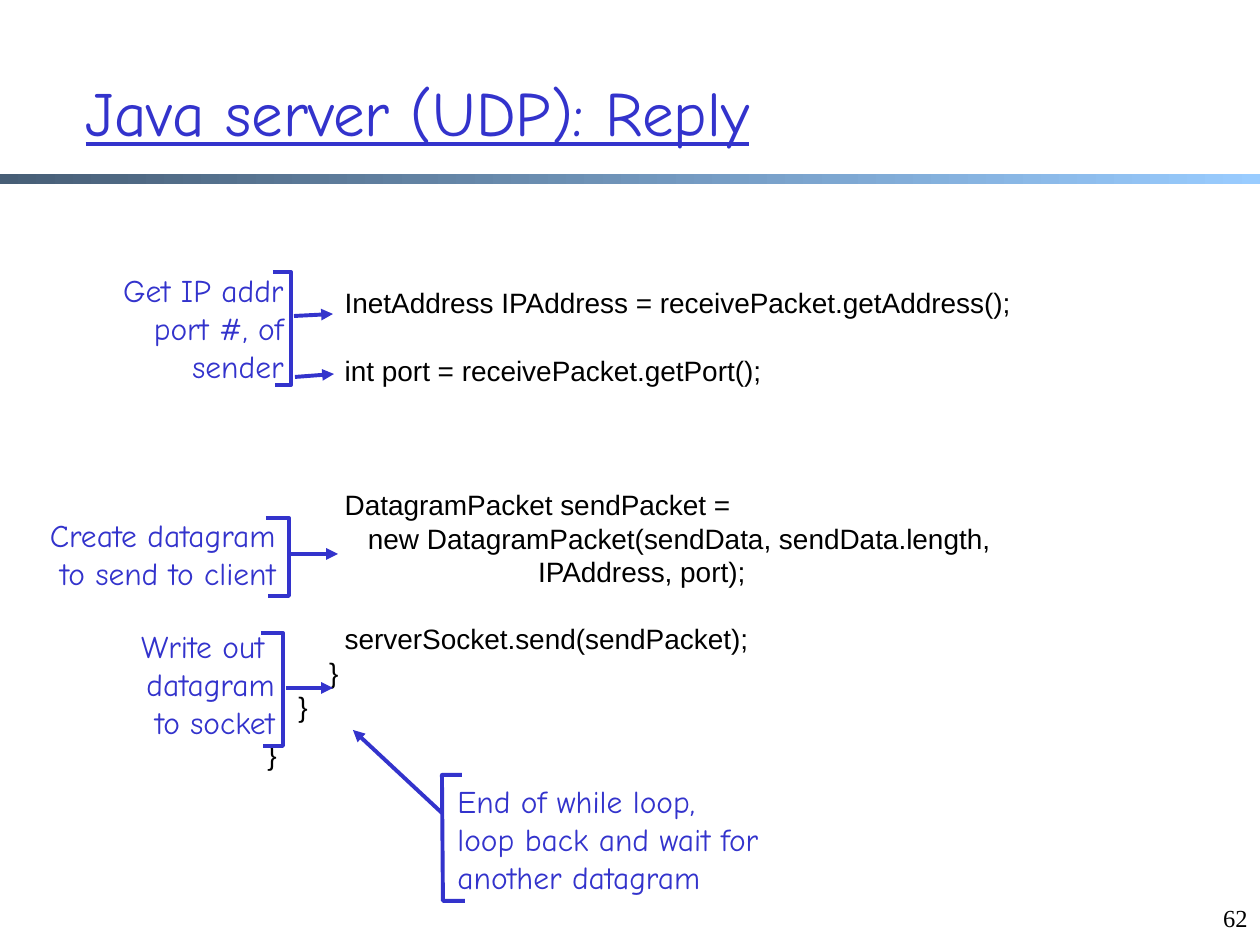
import pptx
import pptx.dml.color
import pptx.enum.shapes
import pptx.enum.text
import pptx.oxml.ns
import pptx.oxml.xmlchemy
import pptx.util

SCALE = 914400 // 126
BLUE, BLACK = "3333CC", "000000"
ALIGN = pptx.enum.text.PP_ALIGN
ANCHOR = pptx.enum.text.MSO_ANCHOR

CODE = [
    (0, "          InetAddress IPAddress = receivePacket.getAddress();"),
    (19.2, "          int port = receivePacket.getPort();"),
    (57.6, "          DatagramPacket sendPacket ="),
    (0, "             new DatagramPacket(sendData, sendData.length,"),
    (0, "                                   IPAddress, port);"),
    (19.2, "          serverSocket.send(sendPacket);"),
    (0, "        }"),
    (0, "    }"),
    (8.8, "}"),
]
LABELS = [
    ((8, 265, 288, 126), ["Get IP addr", "port #, of", "sender"], ALIGN.RIGHT),
    ((106, 621, 181, 126), ["Write out ", "datagram", "to socket"], ALIGN.RIGHT),
    ((445, 776, 350, 126),
     ["End of while loop,", "loop back and wait for", "another datagram"], ALIGN.LEFT),
    ((16, 510, 272, 88), ["Create datagram", "to send to client"], ALIGN.RIGHT),
]
BRACKETS = [
    [(273, 272), (291, 272), (291, 385), (275, 385)],
    [(261, 633), (283, 633), (283, 746), (263, 746)],
    [(462, 775), (442, 775), (443, 901), (465, 901)],
    [(266, 518), (289, 518), (289, 596), (268, 596)],
]
ARROWS = [
    (295, 377, 334, 374),
    (286, 688, 333, 688),
    (442, 813, 353, 730),
    (294, 316, 333, 314),
    (291, 554, 338, 554),
]


def px(value):
    return pptx.util.Emu(value * SCALE)


def colour(value):
    return pptx.dml.color.RGBColor.from_string(value)


def write_text(shape, lines, size, font="Comic Neue", shade=BLUE, align=ALIGN.LEFT,
               anchor=ANCHOR.MIDDLE, underline=False, leading=None, gaps=None):
    frame = shape.text_frame
    frame.word_wrap = True
    frame.vertical_anchor = anchor
    for index, line in enumerate(lines):
        para = frame.add_paragraph() if index else frame.paragraphs[0]
        para.alignment = align
        if leading:
            para.line_spacing = pptx.util.Pt(size * leading)
        if gaps and gaps[index]:
            para.space_before = pptx.util.Pt(gaps[index])
        span = para.add_run()
        span.text = line
        span.font.name = font
        span.font.size = pptx.util.Pt(size)
        span.font.underline = underline
        span.font.color.rgb = colour(shade)
    return frame


def add_box(page, area):
    return page.shapes.add_textbox(*map(px, area))


def add_title(page, text):
    title = page.shapes.title
    title.left, title.top, title.width, title.height = map(px, (73, 32, 1071, 158))
    write_text(title, [text], 36, underline=True)


def add_bar(page):
    bar = page.shapes.add_shape(
        pptx.enum.shapes.MSO_SHAPE.RECTANGLE, *map(px, (0, 174, 1260, 10)))
    bar.shadow.inherit = False
    bar.line.fill.background()
    bar.fill.gradient()
    bar.fill.gradient_angle = 0
    for stop, shade, position in zip(bar.fill.gradient_stops, ("475E76", "99CCFF"), (0, 1)):
        stop.color.rgb = colour(shade)
        stop.position = position


def add_code(page):
    gaps, lines = zip(*CODE)
    frame = write_text(add_box(page, (255, 210, 779, 573)), lines, 16, font="Arial",
                       shade=BLACK, anchor=ANCHOR.TOP, leading=1.2, gaps=gaps)
    frame.margin_top = px(76)


def add_label(page, area, lines, align):
    frame = write_text(add_box(page, area), lines, 18, align=align, leading=1.2)
    if align == ALIGN.RIGHT:
        frame.margin_left = 0
    else:
        frame.margin_right = 0


def style_line(line):
    line.color.rgb = colour(BLUE)
    line.width = pptx.util.Pt(2.25)


def add_bracket(page, points):
    start, *others = points
    builder = page.shapes.build_freeform(*start, scale=SCALE)
    builder.add_line_segments(others, close=False)
    bracket = builder.convert_to_shape()
    bracket.shadow.inherit = False
    bracket.fill.background()
    style_line(bracket.line)


def add_arrow(page, ends):
    arrow = page.shapes.add_connector(
        pptx.enum.shapes.MSO_CONNECTOR.STRAIGHT, *map(px, ends))
    style_line(arrow.line)
    head = pptx.oxml.xmlchemy.OxmlElement("a:tailEnd")
    head.set("type", "triangle")
    properties = arrow.element.find(pptx.oxml.ns.qn("p:spPr"))
    properties.find(pptx.oxml.ns.qn("a:ln")).append(head)
    properties.append(pptx.oxml.xmlchemy.OxmlElement("a:effectLst"))


def main():
    deck = pptx.Presentation()
    deck.slide_width, deck.slide_height = px(1260), px(945)
    page = deck.slides.add_slide(deck.slide_layouts.get_by_name("Title Only"))
    add_bar(page)
    write_text(add_box(page, (1197, 897, 63, 48)), ["62"], 14, font="Times New Roman",
               shade=BLACK, align=ALIGN.RIGHT, anchor=ANCHOR.TOP)
    add_title(page, "Java server (UDP): Reply")
    add_code(page)
    for area, lines, align in LABELS:
        add_label(page, area, lines, align)
    for points in BRACKETS:
        add_bracket(page, points)
    for ends in ARROWS:
        add_arrow(page, ends)
    deck.save("out.pptx")


if __name__ == "__main__":
    main()
